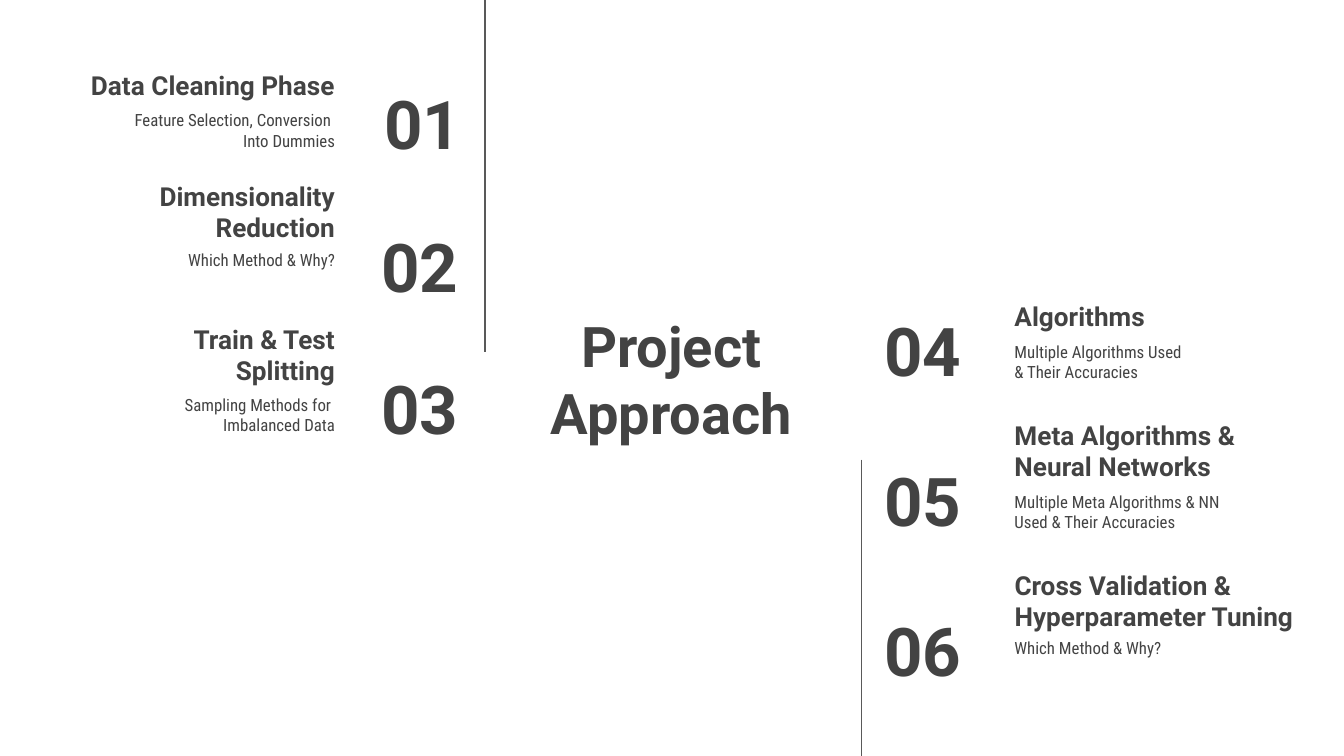
from dataclasses import dataclass

from lxml.etree import SubElement
from pptx import Presentation
from pptx.dml.color import RGBColor
from pptx.enum.shapes import MSO_CONNECTOR as Connector
from pptx.enum.text import MSO_ANCHOR as Anchor, PP_ALIGN as Align
from pptx.oxml.ns import qn
from pptx.util import Pt

INK, RULE = "434343", "595959"
BOX_HEIGHT, INSET = 45.4, 7.2
DETAIL_DROP = 36  # from the top of a heading to the top of its detail

TITLE = dict(name="Roboto", size=Pt(30), bold=True)
NUMBER = dict(name="Roboto", size=Pt(36), bold=True)
HEADING = dict(name="Roboto", size=Pt(14), bold=True)
DETAIL = dict(name="Roboto Condensed", size=Pt(9), bold=False)


@dataclass
class Phase:
    number: str
    heading: list
    detail: list
    number_shift: float = 0
    heading_width: float = 155.5


@dataclass
class Column:
    """Shared layout of the phases on one side of the title."""
    align: Align
    top: float
    pitch: float
    heading_left: float
    detail_left: float
    number_left: float
    number_width: float
    number_drop: float


LEFT = Column(Align.RIGHT, 15.8, 76.3, 31, 54.7, 165.6, 87.1, 27.4)
RIGHT = Column(Align.LEFT, 139.7, 80.3, 536.4, 536.4, 466.6, 84.2, 25.2)

LEFT_PHASES = [
    Phase("01", ["Data Cleaning Phase"],
          ["Feature Selection, Conversion ", "Into Dummies"], number_shift=1.4),
    Phase("02", ["Dimensionality Reduction"], ["Which Method & Why?"]),
    Phase("03", ["Train & Test", "Splitting"],
          ["Sampling Methods for ", "Imbalanced Data"]),
]
RIGHT_PHASES = [
    Phase("04", ["Algorithms"],
          ["Multiple Algorithms Used", "& Their Accuracies"]),
    Phase("05", ["Meta Algorithms &", "Neural Networks"],
          ["Multiple Meta Algorithms & NN Used & Their Accuracies"]),
    Phase("06", ["Cross Validation &", "Hyperparameter Tuning"],
          ["Which Method & Why?"], heading_width=174.2),
]


def color(hex_value):
    return RGBColor.from_string(hex_value)


def add_text(slide, paragraphs, left, top, width, font, align, anchor,
             height=BOX_HEIGHT):
    box = slide.shapes.add_textbox(Pt(left), Pt(top), Pt(width), Pt(height))
    frame = box.text_frame
    frame.word_wrap = True
    frame.vertical_anchor = anchor
    for side in ("left", "top", "right", "bottom"):
        setattr(frame, f"margin_{side}", Pt(INSET))
    frame.text = "\n".join(paragraphs)
    for paragraph in frame.paragraphs:
        paragraph.alignment = align
        for run in paragraph.runs:
            for attribute, value in font.items():
                setattr(run.font, attribute, value)
            run.font.color.rgb = color(INK)


def add_phase(slide, column, row, phase):
    top = column.top + row * column.pitch
    add_text(slide, phase.heading, column.heading_left, top,
             phase.heading_width, HEADING, column.align, Anchor.BOTTOM)
    add_text(slide, phase.detail, column.detail_left, top + DETAIL_DROP,
             131.8, DETAIL, column.align, Anchor.TOP)
    add_text(slide, [phase.number], column.number_left + phase.number_shift,
             top + column.number_drop, column.number_width,
             NUMBER, column.align, Anchor.MIDDLE)


def add_vertical_rule(slide, x, top, bottom):
    rule = slide.shapes.add_connector(
        Connector.STRAIGHT, Pt(x), Pt(top), Pt(x), Pt(bottom))
    rule.line.color.rgb = color(RULE)
    rule.line.width = Pt(0.75)
    SubElement(rule._element.spPr, qn("a:effectLst"))


def main():
    deck = Presentation()
    deck.slide_width, deck.slide_height = Pt(720), Pt(405)
    slide = deck.slides.add_slide(deck.slide_layouts[6])

    add_text(slide, ["Project Approach"], 266.4, 165.6, 186.5, TITLE,
             Align.CENTER, Anchor.MIDDLE, height=74.2)
    add_vertical_rule(slide, 259.9, 0, 188.6)
    add_vertical_rule(slide, 461.5, 246.2, 406)
    for column, phases in ((LEFT, LEFT_PHASES), (RIGHT, RIGHT_PHASES)):
        for row, phase in enumerate(phases):
            add_phase(slide, column, row, phase)

    deck.save("out.pptx")


if __name__ == "__main__":
    main()
